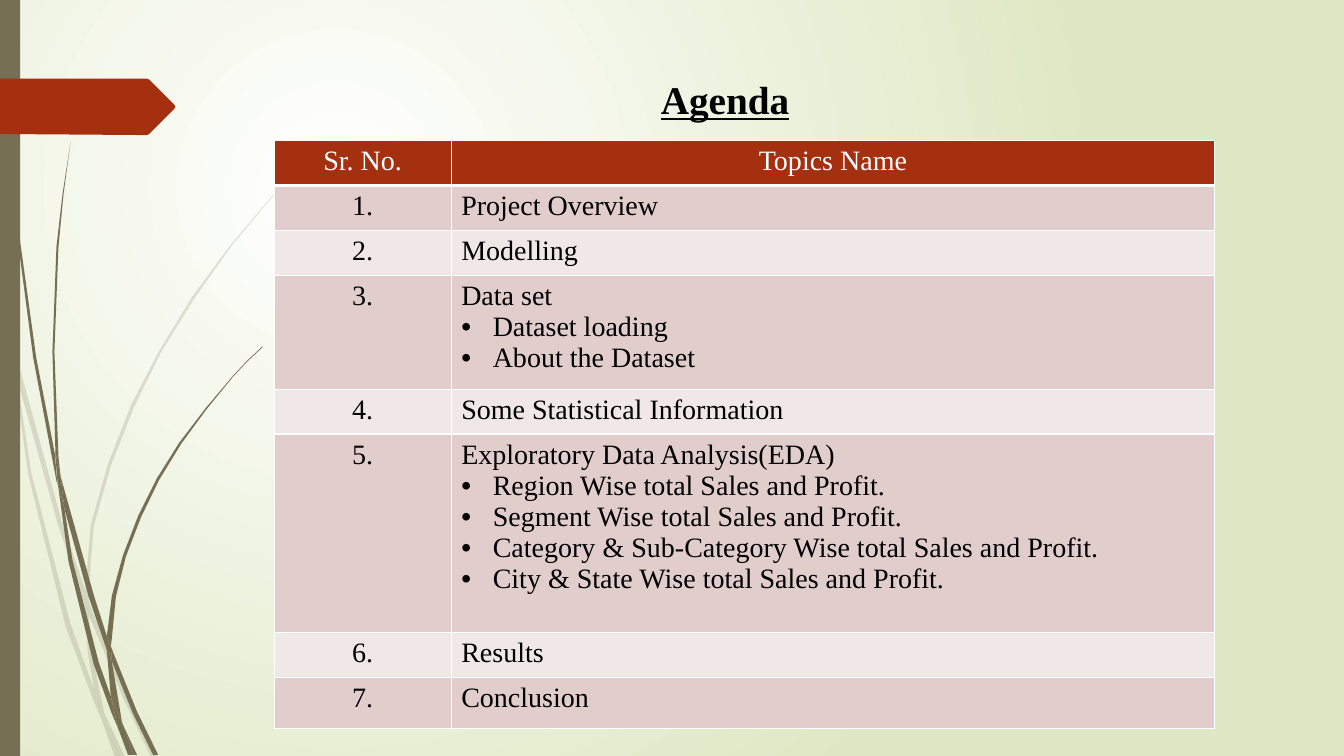
from dataclasses import dataclass

from lxml import etree
from pptx import Presentation, util as u
from pptx.dml.color import RGBColor
from pptx.enum import shapes, text
from pptx.oxml.ns import qn


@dataclass(frozen=True)
class Theme:
    font: str = "Times New Roman"
    title_size: float = 28
    table_size: float = 20
    ink: str = "000000"
    paper: str = "FFFFFF"
    meadow: str = "DFE8C4"
    stem: str = "766F54"
    accent: str = "A53010"
    bands: tuple = ("E1CDCC", "F0E8E7")
    faint: int = 20


HUNDREDTH_INCH = u.Pt(0.72)

FAINT_GRASS = [
    [(11, 350), (9, 322), (0, 282), (0, 299), (10, 344)],
    [(58, 522), (84, 599), (85, 586), (62, 520), (14, 345), (17, 376)],
    [(92, 607), (88, 596), (88, 610), (123, 694), (150, 751), (155, 751), (127, 692)],
    [(119, 751), (124, 751), (105, 711)],
    [(93, 683), (70, 619), (31, 469), (17, 376), (11, 350), (28, 470), (65, 621),
     (92, 693), (101, 714), (99, 707)],
    [(84, 599), (87, 646), (93, 683), (96, 692), (105, 711), (103, 706), (91, 646),
     (88, 610), (88, 608)],
    [(88, 584), (93, 522), (110, 462), (133, 404), (160, 349), (193, 296), (229, 245),
     (268, 198), (290, 175), (312, 154), (312, 153), (289, 175), (268, 197), (228, 244),
     (191, 294), (158, 348), (130, 402), (107, 461), (90, 521), (85, 584), (85, 586),
     (88, 596)],
    [(101, 714), (114, 751), (119, 751)],
    [(88, 608), (88, 610), (88, 596), (85, 586), (84, 599)],
    [(96, 692), (93, 683), (99, 707), (101, 714), (119, 751), (105, 711)],
]

DARK_GRASS = [
    [(7, 110), (17, 233), (33, 355), (56, 477), (57, 481), (55, 457), (55, 453),
     (36, 355), (19, 232), (8, 109), (5, 48), (4, 0), (3, 0), (4, 48)],
    [(88, 592), (106, 645), (106, 633), (106, 631), (93, 590), (60, 472), (64, 505)],
    [(113, 649), (110, 641), (111, 656), (132, 708), (152, 749), (157, 749), (136, 706)],
    [(110, 691), (98, 657), (72, 556), (64, 505), (57, 477), (68, 557), (93, 659),
     (111, 708), (117, 722), (116, 717)],
    [(60, 472), (58, 453), (54, 349), (58, 245), (63, 193), (70, 141), (62, 193),
     (56, 245), (52, 349), (55, 449)],
    [(133, 749), (136, 749), (122, 719)],
    [(57, 477), (64, 505), (60, 472), (55, 449), (55, 453)],
    [(111, 633), (115, 592), (125, 552), (140, 513), (158, 476), (180, 440), (205, 406),
     (231, 374), (245, 359), (261, 344), (260, 344), (245, 358), (231, 373), (204, 405),
     (178, 439), (156, 474), (137, 512), (122, 551), (111, 591), (106, 631), (110, 641)],
    [(117, 722), (127, 749), (131, 749)],
    [(106, 645), (110, 691), (116, 706), (122, 719), (121, 716), (111, 656), (109, 651)],
    [(106, 645), (109, 651), (111, 656), (110, 641), (106, 631), (106, 633)],
    [(116, 706), (110, 691), (116, 717), (117, 722), (130, 749), (133, 749), (122, 719)],
]

RIBBON = [(173, 108), (148, 133), (146, 134), (136, 134), (0, 133), (0, 78), (146, 78),
          (148, 79), (173, 104), (174, 106)]

TOPICS = [
    ("Project Overview", []),
    ("Modelling", []),
    ("Data set", ["Dataset loading", "About the Dataset"]),
    ("Some Statistical Information", []),
    ("Exploratory Data Analysis(EDA)", [
        "Region Wise total Sales and Profit.",
        "Segment Wise total Sales and Profit.",
        "Category & Sub-Category Wise total Sales and Profit.",
        "City & State Wise total Sales and Profit.",
    ]),
    ("Results", []),
    ("Conclusion", []),
]
COLUMN_WIDTHS = [126.5, 545.5]
ROW_HEIGHTS = [32, 32, 32.2, 81.5, 31.8, 141.7, 32.5, 36.5]


class AgendaSlide:
    def __init__(self, slide, theme):
        self.slide = slide
        self.theme = theme

    def background(self):
        fill = self.slide.background.fill
        fill.gradient()
        colors = (self.theme.paper, self.theme.meadow)
        for stop, color, position in zip(fill.gradient_stops, colors, (0, 1)):
            stop.color.rgb = RGBColor.from_string(color)
            stop.position = position
        gradient = next(self.slide.element.iter(qn("a:gradFill")))
        gradient.remove(gradient.find(qn("a:lin")))
        glow = etree.SubElement(gradient, qn("a:path"), {"path": "circle"})
        etree.SubElement(glow, qn("a:fillToRect"), l="50000", t="50000", r="100000", b="100000")

    def paint(self, shape, color, alpha=100):
        shape.shadow.inherit = False
        shape.fill.solid()
        shape.fill.fore_color.rgb = RGBColor.from_string(color)
        shape.line.fill.background()
        if alpha < 100:
            tint = next(shape.element.spPr.iter(qn("a:srgbClr")))
            etree.SubElement(tint, qn("a:alpha"), val=str(alpha * 1000))

    def outline(self, points, color, alpha=100):
        builder = self.slide.shapes.build_freeform(*points[0], scale=HUNDREDTH_INCH)
        builder.add_line_segments(points[1:], close=True)
        self.paint(builder.convert_to_shape(), color, alpha)

    def bar(self, left, top, width, height, color):
        box = map(u.Pt, (left, top, width, height))
        self.paint(self.slide.shapes.add_shape(shapes.MSO_SHAPE.RECTANGLE, *box), color)

    def add_words(self, paragraph, words, size, color, bold=False, underline=False):
        run = paragraph.add_run()
        run.text = words
        run.font.name = self.theme.font
        run.font.size = u.Pt(size)
        run.font.bold = bold
        run.font.underline = underline
        run.font.color.rgb = RGBColor.from_string(color)

    def title(self, words, left, top, width, height, indent):
        heading = self.slide.shapes.add_textbox(*map(u.Pt, (left, top, width, height)))
        heading.text_frame.word_wrap = True
        line = heading.text_frame.paragraphs[0]
        line._p.get_or_add_pPr().set("marL", str(u.Pt(indent)))
        self.add_words(line, words, self.theme.title_size, self.theme.ink, True, True)

    def bullet(self, paragraph, indent=22.5):
        properties = paragraph._p.get_or_add_pPr()
        properties.set("marL", str(u.Pt(indent)))
        properties.set("indent", str(-u.Pt(indent)))
        etree.SubElement(properties, qn("a:buFont"), typeface="Arial")
        etree.SubElement(properties, qn("a:buChar"), char="•")

    def borders(self, cell, bottom):
        properties = cell._tc.get_or_add_tcPr()
        for place, (side, weight) in enumerate(zip("LRTB", (1, 1, 1, bottom))):
            edge = etree.Element(qn(f"a:ln{side}"), w=str(u.Pt(weight)))
            solid = etree.SubElement(edge, qn("a:solidFill"))
            etree.SubElement(solid, qn("a:srgbClr"), val=self.theme.paper)
            properties.insert(place, edge)

    def cell(self, cell, words, fill, color, centered=False, points=(), bottom=1):
        cell.fill.solid()
        cell.fill.fore_color.rgb = RGBColor.from_string(fill)
        self.borders(cell, bottom)
        lead = cell.text_frame.paragraphs[0]
        if centered:
            lead.alignment = text.PP_ALIGN.CENTER
        self.add_words(lead, words, self.theme.table_size, color)
        for point in points:
            item = cell.text_frame.add_paragraph()
            self.bullet(item)
            self.add_words(item, point, self.theme.table_size, color)

    def agenda(self, left, top):
        theme = self.theme
        box = map(u.Pt, (left, top, sum(COLUMN_WIDTHS), sum(ROW_HEIGHTS)))
        agenda = self.slide.shapes.add_table(len(ROW_HEIGHTS), len(COLUMN_WIDTHS), *box).table
        for column, width in zip(agenda.columns, COLUMN_WIDTHS):
            column.width = u.Pt(width)
        for row, height in zip(agenda.rows, ROW_HEIGHTS):
            row.height = u.Pt(height)
        for column, heading in enumerate(("Sr. No.", "Topics Name")):
            self.cell(agenda.cell(0, column), heading, theme.accent, theme.paper, True, bottom=3)
        for number, (topic, points) in enumerate(TOPICS, 1):
            band = theme.bands[(number - 1) % 2]
            self.cell(agenda.cell(number, 0), f"{number}.", band, theme.ink, True)
            self.cell(agenda.cell(number, 1), topic, band, theme.ink, points=points)


def main():
    deck = Presentation()
    deck.slide_width, deck.slide_height = u.Pt(960), u.Pt(540)
    theme = Theme()
    page = AgendaSlide(deck.slides.add_slide(deck.slide_layouts[6]), theme)
    page.background()
    for blade in FAINT_GRASS:
        page.outline(blade, theme.stem, theme.faint)
    for blade in DARK_GRASS:
        page.outline(blade, theme.stem)
    page.bar(0, 0, 14.4, 540, theme.stem)
    page.outline(RIBBON, theme.accent)
    page.title("Agenda", 249, 50.4, 522, 41, indent=216)
    page.agenda(195.8, 100.6)
    deck.save("out.pptx")


if __name__ == "__main__":
    main()
